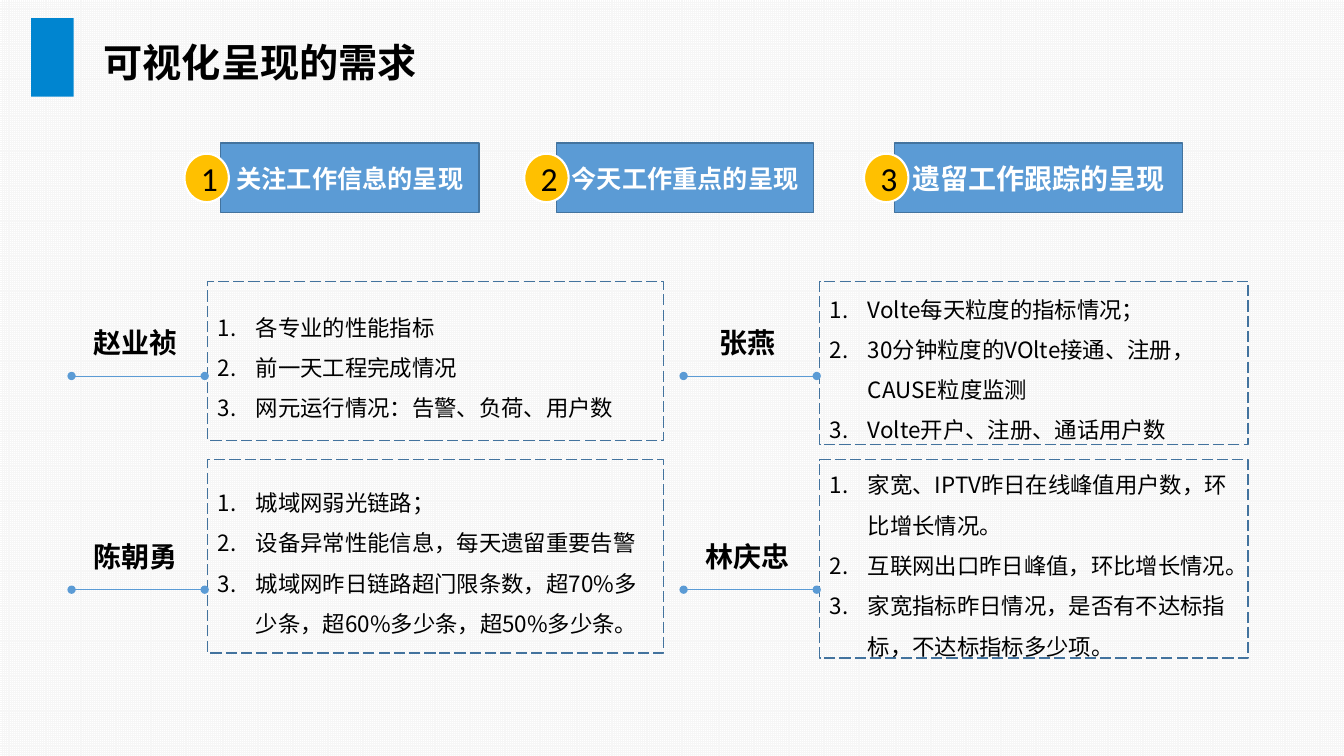
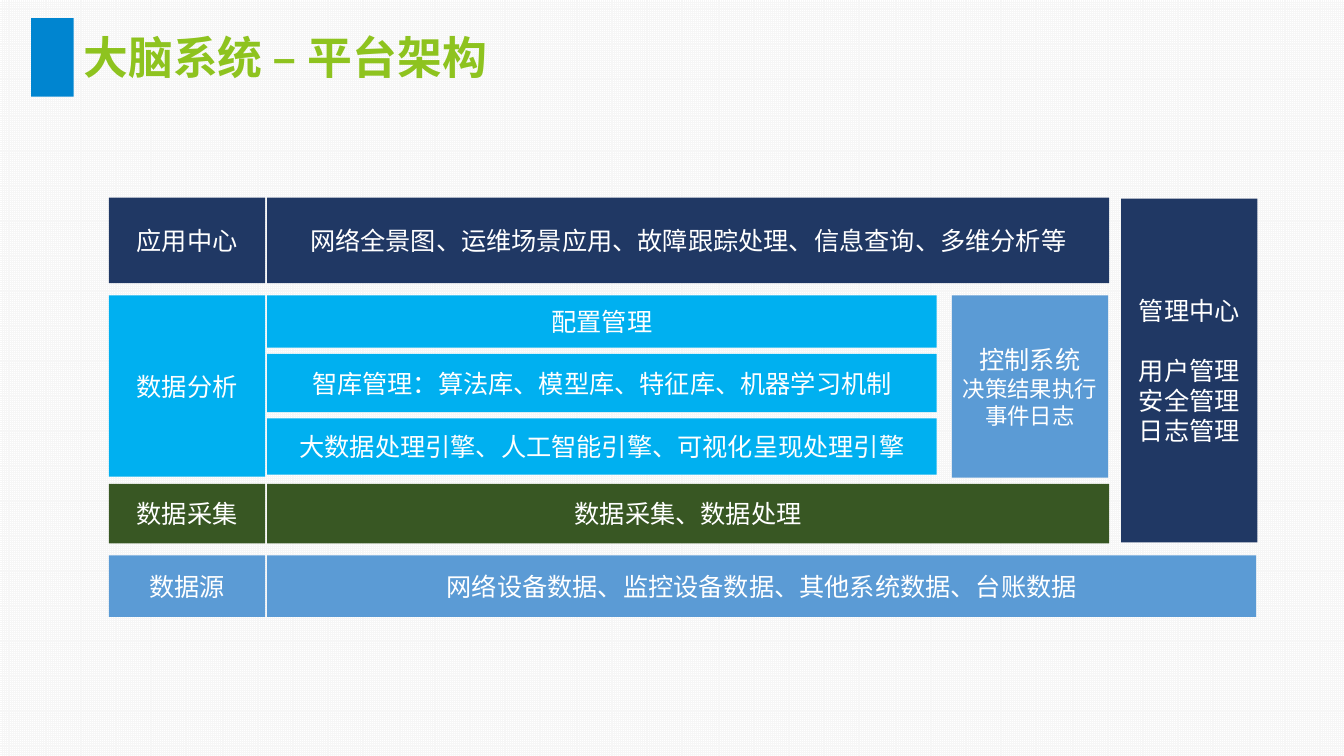
from lxml.etree import SubElement
from pptx import Presentation
from pptx.dml.color import RGBColor
from pptx.enum.dml import MSO_LINE, MSO_PATTERN
from pptx.enum.shapes import MSO_CONNECTOR, MSO_SHAPE
from pptx.enum.text import MSO_ANCHOR, MSO_AUTO_SIZE, PP_ALIGN
from pptx.oxml.ns import qn
from pptx.util import Inches, Pt

# Shared style
FONT = "Noto Sans CJK SC"
NUMBER_FONT = "Calibri"
BLACK, WHITE = "000000", "FFFFFF"
BAND, GRID = "0085D0", "F6F6F6"
BLUE, OUTLINE = "5B9BD5", "43739E"
AMBER, LIME = "FFC000", "8EC31F"
NAVY, SKY, GREEN = "203864", "00B0F0", "385723"


def color(value):
    return RGBColor.from_string(value)


def write_text(shape, lines, size=18, font=FONT, fill=BLACK, bold=False,
               align=PP_ALIGN.LEFT, anchor=MSO_ANCHOR.MIDDLE, wrap=True,
               spacing=None, numbered=False):
    """Write one paragraph per line; a line may be (text, size, space after)."""
    frame = shape.text_frame
    frame.word_wrap = wrap
    frame.vertical_anchor = anchor
    for index, line in enumerate([lines] if isinstance(lines, str) else lines):
        text, line_size, space_after = (line, size, 0) if isinstance(line, str) else line
        paragraph = frame.paragraphs[0] if index == 0 else frame.add_paragraph()
        paragraph.alignment = align
        paragraph.space_after = Pt(space_after)
        if spacing:
            paragraph.line_spacing = spacing
        if numbered:
            properties = paragraph._p.get_or_add_pPr()
            properties.set("marL", str(Inches(0.38)))
            properties.set("indent", str(-Inches(0.38)))
            SubElement(properties, qn("a:buFont"), typeface="+mj-lt")
            SubElement(properties, qn("a:buAutoNum"), type="arabicPeriod")
        run = paragraph.add_run()
        run.text = text
        run.font.size = Pt(line_size)
        run.font.name = font
        run.font.bold = bold
        run.font.color.rgb = color(fill)
        SubElement(run._r.get_or_add_rPr(), qn("a:ea"), typeface=font)


def add_box(slide, box, fill=None, line=None, line_width=1, dash=None,
            kind=MSO_SHAPE.RECTANGLE):
    shape = slide.shapes.add_shape(kind, *map(Inches, box))
    shape.shadow.inherit = False
    if fill:
        shape.fill.solid()
        shape.fill.fore_color.rgb = color(fill)
    else:
        shape.fill.background()
    if line:
        shape.line.color.rgb = color(line)
        shape.line.width = Pt(line_width)
        if dash:
            shape.line.dash_style = dash
    else:
        shape.line.fill.background()
    return shape


def add_label(slide, box, text, **text_format):
    label = slide.shapes.add_textbox(*map(Inches, box))
    write_text(label, text, bold=True, anchor=MSO_ANCHOR.TOP, **text_format)
    label.text_frame.auto_size = MSO_AUTO_SIZE.SHAPE_TO_FIT_TEXT


def add_dotted_rule(slide, left, right, y):
    rule = slide.shapes.add_connector(
        MSO_CONNECTOR.STRAIGHT, Inches(right), Inches(y), Inches(left), Inches(y))
    rule.line.color.rgb = color(BLUE)
    rule.line.width = Pt(0.5)
    line = rule.line._get_or_add_ln()
    for end in ("a:headEnd", "a:tailEnd"):
        SubElement(line, qn(end), type="oval")
    SubElement(rule._element.spPr, qn("a:effectLst"))


def set_background(presentation):
    fill = presentation.slide_master.background.fill
    fill.patterned()
    fill.pattern = MSO_PATTERN.SMALL_GRID
    fill.fore_color.rgb = color(GRID)
    fill.back_color.rgb = color(WHITE)


def add_titled_slide(presentation, title, box, **title_format):
    slide = presentation.slides.add_slide(presentation.slide_layouts[6])
    add_box(slide, (0.31, 0.18, 0.42, 0.78), fill=BAND)
    add_label(slide, box, title, **title_format)
    return slide


# Slide 1: needs
def add_need(slide, box, number, badge_left, text, size):
    left, top, width, height = box
    tab = add_box(slide, box, fill=BLUE, line=OUTLINE)
    write_text(tab, text, size=size, fill=WHITE, bold=True, align=PP_ALIGN.CENTER)
    diameter = 0.48
    badge = add_box(slide, (badge_left, top + (height - diameter) / 2, 0.44, diameter),
                    fill=AMBER, line=WHITE, line_width=1.5, kind=MSO_SHAPE.OVAL)
    write_text(badge, str(number), size=24, font=NUMBER_FONT, align=PP_ALIGN.CENTER)


def add_person(slide, box, rule_offset, name, needs):
    left, top, width, height = box
    panel = add_box(slide, box, line=OUTLINE, dash=MSO_LINE.LONG_DASH)
    write_text(panel, needs, size=16, spacing=1.5, numbered=True)

    # Name above the rule that leads to the panel
    rule_y = top + rule_offset
    rule_left, rule_right = left - 1.35, left - 0.03
    add_dotted_rule(slide, rule_left, rule_right, rule_y)
    name_width = 0.2 + 0.28 * len(name)
    name_left = (rule_left + rule_right - name_width) / 2 - 0.02
    add_label(slide, (name_left, rule_y - 0.55, name_width, 0.44), name,
              size=20, wrap=False)


def build_needs(presentation):
    slide = add_titled_slide(presentation, "可视化呈现的需求",
                             (0.93, 0.33, 3.34, 0.57), size=28, wrap=False)
    needs = [
        ("关注工作信息的呈现", 2.19, 2.56, 18),
        ("今天工作重点的呈现", 5.52, 2.55, 18),
        ("遗留工作跟踪的呈现", 8.87, 2.86, 20),
    ]
    for index, (text, left, width, size) in enumerate(needs):
        add_need(slide, (left, 1.42, width, 0.69), index + 1,
                 1.83 + 3.37 * index, text, size)

    first, second = (2.06, 4.52), (8.13, 4.25)
    upper, lower = (2.79, 0.94), (4.56, 1.29)
    people = [
        (first, upper, 1.58, "赵业祯",
         ["各专业的性能指标", "前一天工程完成情况", "网元运行情况：告警、负荷、用户数"]),
        (second, upper, 1.62, "张燕",
         ["Volte每天粒度的指标情况；", "30分钟粒度的VOlte接通、注册，CAUSE粒度监测",
          "Volte开户、注册、通话用户数"]),
        (first, lower, 1.92, "陈朝勇",
         ["城域网弱光链路；", "设备异常性能信息，每天遗留重要告警",
          "城域网昨日链路超门限条数，超70%多少条，超60%多少条，超50%多少条。"]),
        (second, lower, 1.97, "林庆忠",
         ["家宽、IPTV昨日在线峰值用户数，环比增长情况。",
          "互联网出口昨日峰值，环比增长情况。",
          "家宽指标昨日情况，是否有不达标指标，不达标指标多少项。"]),
    ]
    for (left, width), (top, rule_offset), height, name, items in people:
        add_person(slide, (left, top, width, height), rule_offset, name, items)


# Slide 2: platform architecture
def add_block(slide, box, fill, lines):
    block = add_box(slide, box, fill=fill)
    write_text(block, lines, fill=WHITE, align=PP_ALIGN.CENTER)


def add_layer(slide, box, fill, name, details):
    """Name block on the left, stacked (text, height) detail blocks on the right."""
    left, top, width, height = box
    name_width, gap = 1.55, 0.06
    add_block(slide, (left, top, name_width, height), fill, name)
    detail_left = left + name_width + 0.02
    detail_width = width - name_width - 0.02
    for text, detail_height in details:
        add_block(slide, (detail_left, top, detail_width, detail_height), fill, text)
        top += detail_height + gap


def build_architecture(presentation):
    slide = add_titled_slide(presentation, "大脑系统 – 平台架构",
                             (0.73, 0.25, 8.72, 0.64), size=32, fill=LIME)
    left = 1.08
    layers = [
        (1.96, 9.92, 0.85, NAVY, "应用中心",
         [("网络全景图、运维场景应用、故障跟踪处理、信息查询、多维分析等", 0.85)]),
        (2.93, 8.21, 1.8, SKY, "数据分析",
         [("配置管理", 0.52),
          ("智库管理：算法库、模型库、特征库、机器学习机制", 0.58),
          ("大数据处理引擎、人工智能引擎、可视化呈现处理引擎", 0.56)]),
        (4.8, 9.92, 0.59, GREEN, "数据采集", [("数据采集、数据处理", 0.59)]),
        (5.51, 11.38, 0.61, BLUE, "数据源",
         [("网络设备数据、监控设备数据、其他系统数据、台账数据", 0.61)]),
    ]
    for top, width, height, fill, name, details in layers:
        add_layer(slide, (left, top, width, height), fill, name, details)

    # Control and management columns
    add_block(slide, (9.44, 2.93, 1.55, 1.81), BLUE,
              ["控制系统", ("决策结果执行", 16, 0), ("事件日志", 16, 0)])
    add_block(slide, (11.12, 1.97, 1.35, 3.41), NAVY,
              [("管理中心", 18, 21.5), "用户管理", "安全管理", "日志管理"])


def main():
    presentation = Presentation()
    presentation.slide_width = Inches(13.33)
    presentation.slide_height = Inches(7.5)
    set_background(presentation)
    build_needs(presentation)
    build_architecture(presentation)
    presentation.save("out.pptx")


if __name__ == "__main__":
    main()
